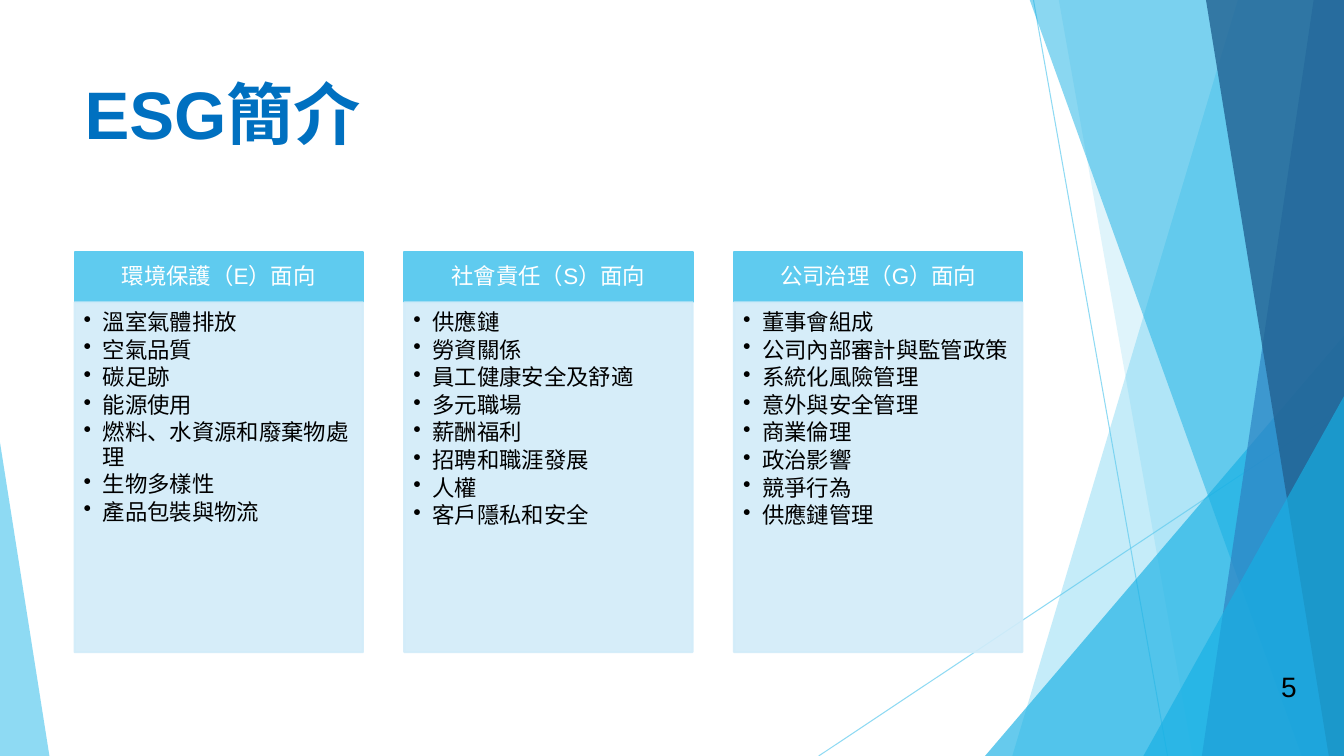
from lxml.etree import SubElement
from pptx import Presentation
from pptx.dml.color import RGBColor
from pptx.enum.shapes import MSO_CONNECTOR, MSO_SHAPE
from pptx.enum.text import MSO_ANCHOR, PP_ALIGN
from pptx.oxml.ns import qn
from pptx.util import Inches, Pt

COLORS = {
    "sky": "5FCBEF", "cyan": "17B0E4", "blue": "2E83C3", "navy": "226292",
    "panel": "D2ECF9", "title": "0070C0", "white": "FFFFFF", "black": "000000",
}


def paint(format_part, color, opacity=100):
    format_part.solid()
    format_part.fore_color.rgb = RGBColor.from_string(COLORS[color])
    if opacity < 100:
        color_element = format_part._xPr.find(qn("a:solidFill"))[0]
        SubElement(color_element, qn("a:alpha"), val=str(opacity * 1000))


def style(paragraph, size, color, align=PP_ALIGN.LEFT, bold=False):
    paragraph.alignment = align
    paragraph.font.name = "Arial"
    paragraph.font.size = Pt(size)
    paragraph.font.bold = bold
    paragraph.font.color.rgb = RGBColor.from_string(COLORS[color])


prs = Presentation()
prs.slide_width, prs.slide_height = Inches(13.33), Inches(7.5)
slide = prs.slides.add_slide(prs.slide_layouts[6])
shapes = slide.shapes

for x1, y1, x2, y2 in [(10.25, 0, 11.58, 7.5), (13.33, 4.03, 8.12, 7.5)]:
    ray = shapes.add_connector(
        MSO_CONNECTOR.STRAIGHT, Inches(x1), Inches(y1), Inches(x2), Inches(y2))
    paint(ray.line.fill, "sky", 70)
    ray.line.width = Pt(0.75)
    SubElement(ray._element.spPr, qn("a:effectLst"))

facets = [
    ("band", (12.28, 10.04), "sky", 36),
    ("band", (10.5, 11.83), "sky", 20),
    ("triangle", (9.77, 3.33, 3.56, 4.17, 1), "cyan", 66),
    ("band", (10.21, 12.91), "cyan", 50),
    ("band", (13.03, 11.92), "blue", 70),
    ("band", (11.96, 13.18), "navy", 80),
    ("triangle", (11.34, 3.93, 1.99, 3.57, 1), "cyan", 66),
    ("triangle", (0, 4.39, 0.49, 3.11, 0), "sky", 70),
]
for kind, geometry, color, opacity in facets:
    if kind == "band":
        top_x, bottom_x = geometry
        outline = shapes.build_freeform(Inches(top_x), Inches(-0.01))
        outline.add_line_segments([
            (Inches(x), Inches(y))
            for x, y in [(13.33, -0.01), (13.33, 7.5), (bottom_x, 7.5)]])
        facet = outline.convert_to_shape()
    else:
        *box, apex = geometry
        facet = shapes.add_shape(
            MSO_SHAPE.ISOSCELES_TRIANGLE, *[Inches(length) for length in box])
        facet.adjustments[0] = apex
    facet.shadow.inherit = False
    paint(facet.fill, color, opacity)
    facet.line.fill.background()

title = shapes.add_textbox(Inches(0.74), Inches(0.67), Inches(9.4), Inches(1.44))
title.text_frame.word_wrap = True
title.text_frame.text = "ESG簡介"
style(title.text_frame.paragraphs[0], 48, "title", bold=True)

aspects = [
    ("環境保護（E）面向", [
        "溫室氣體排放", "空氣品質", "碳足跡", "能源使用",
        "燃料、水資源和廢棄物處理", "生物多樣性", "產品包裝與物流"]),
    ("社會責任（S）面向", [
        "供應鏈", "勞資關係", "員工健康安全及舒適", "多元職場",
        "薪酬福利", "招聘和職涯發展", "人權", "客戶隱私和安全"]),
    ("公司治理（G）面向", [
        "董事會組成", "公司內部審計與監管政策", "系統化風險管理", "意外與安全管理",
        "商業倫理", "政治影響", "競爭行為", "供應鏈管理"]),
]
for column, (heading, topics) in enumerate(aspects):
    left = Inches(0.74 + 3.27 * column)
    header = shapes.add_shape(
        MSO_SHAPE.RECTANGLE, left, Inches(2.5), Inches(2.86), Inches(0.5))
    panel = shapes.add_shape(
        MSO_SHAPE.RECTANGLE, left, Inches(3), Inches(2.86), Inches(3.47))
    for card, color, opacity, anchor, insets in [
        (header, "sky", 100, MSO_ANCHOR.MIDDLE, (0.12, 0.07, 0.12, 0.07)),
        (panel, "panel", 90, MSO_ANCHOR.TOP, (0.09, 0.09, 0.12, 0.14)),
    ]:
        card.shadow.inherit = False
        paint(card.fill, color, opacity)
        paint(card.line.fill, color, opacity)
        card.line.width = Pt(1.5)
        frame = card.text_frame
        frame.word_wrap = True
        frame.vertical_anchor = anchor
        (frame.margin_left, frame.margin_top,
         frame.margin_right, frame.margin_bottom) = [Inches(i) for i in insets]

    header.text_frame.text = heading
    heading_line = header.text_frame.paragraphs[0]
    heading_line.line_spacing = 0.9
    style(heading_line, 16, "white", PP_ALIGN.CENTER)

    panel.text_frame.text = "\n".join(topics)
    for topic in panel.text_frame.paragraphs:
        topic.level = 1
        topic.line_spacing = 0.9
        topic.space_after = Pt(2.4)
        properties = topic._p.get_or_add_pPr()
        properties.set("marL", str(Inches(0.19)))
        properties.set("indent", str(Inches(-0.19)))
        SubElement(properties, qn("a:buChar"), char="•")
        style(topic, 16, "black")

page_number = shapes.add_textbox(
    Inches(12.21), Inches(6.61), Inches(0.75), Inches(0.4))
page_number.text_frame.word_wrap = True
page_number.text_frame.vertical_anchor = MSO_ANCHOR.MIDDLE
page_number.text_frame.text = "5"
style(page_number.text_frame.paragraphs[0], 20, "black", PP_ALIGN.RIGHT)

prs.save("out.pptx")
